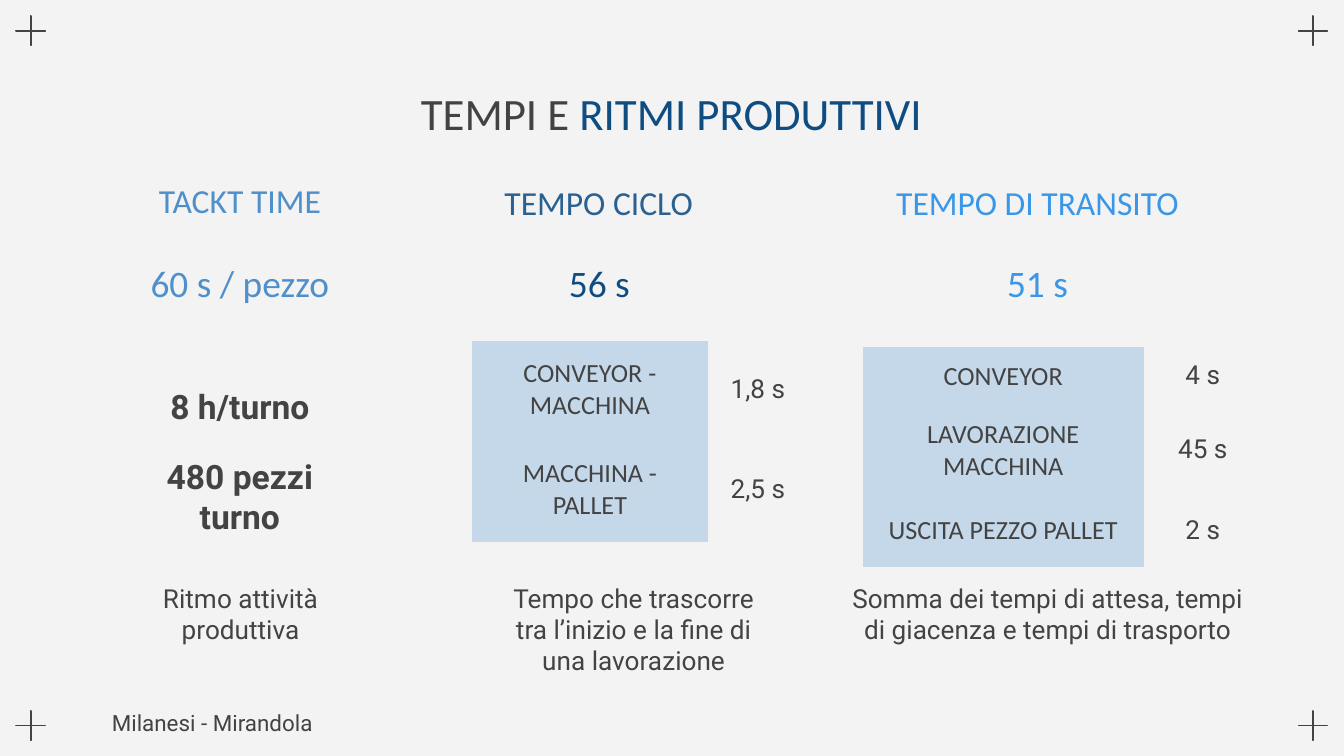
from typing import NamedTuple

from pptx import Presentation
from pptx.dml.color import RGBColor
from pptx.enum import shapes, text
from pptx.util import Inches, Pt

INK, NAVY, STEEL, SKY = "434343", "0F4C81", "5090CA", "3A97E8"
PALE, PAPER = "C5D8E9", "F3F3F3"
PLAIN = "{2D5ABB26-0587-4C30-8999-92F81FD0307C}"  # table style with no grid


class Box(NamedTuple):
    left: float
    top: float
    width: float
    height: float

    def lengths(self) -> list:
        return [Inches(n) for n in self]


class Topic(NamedTuple):
    name: str
    name_box: Box
    name_color: str
    value: str
    value_box: Box
    value_color: str
    note: str
    note_box: Box


class Steps(NamedTuple):
    box: Box
    cols: tuple
    rows: tuple
    cells: tuple


def color(code: str) -> RGBColor:
    return RGBColor.from_string(code)


def write(host, frame, *paras, size=14, font="Roboto", ink=INK, bold=False,
          after=0, middle=False) -> None:
    """Fill a frame; host, a cell or the frame itself, holds the margins.

    A paragraph is a string or a list of (text, colour).
    """
    host.vertical_anchor = (text.MSO_ANCHOR.MIDDLE if middle
                            else text.MSO_ANCHOR.TOP)
    host.margin_left = host.margin_right = Inches(0.1)
    host.margin_top = host.margin_bottom = Inches(0.1)
    for i, para in enumerate(paras):
        line = frame.add_paragraph() if i else frame.paragraphs[0]
        line.alignment = text.PP_ALIGN.CENTER
        line.space_after = Pt(after)
        for words, hue in [(para, ink)] if isinstance(para, str) else para:
            run = line.add_run()
            run.text = words
            run.font.size, run.font.name = Pt(size), font
            run.font.bold = bold
            run.font.color.rgb = color(hue)


def label(slide, box: Box, *paras, **style) -> None:
    frame = slide.shapes.add_textbox(*box.lengths()).text_frame
    frame.word_wrap = True
    write(frame, frame, *paras, **style)


def cross(slide, left: float, top: float) -> None:
    mark = slide.shapes.add_shape(shapes.MSO_SHAPE.MATH_PLUS,
                                  *Box(left, top, 0.3, 0.3).lengths())
    mark.adjustments[0] = 0.007
    mark.shadow.inherit = False
    mark.fill.background()
    mark.line.color.rgb = color(INK)
    mark.line.width = Pt(0.75)


def grid(slide, steps: Steps) -> None:
    table = slide.shapes.add_table(len(steps.rows), len(steps.cols),
                                   *steps.box.lengths()).table
    table._tbl.tblPr[0].text = PLAIN
    table.first_row = table.horz_banding = False
    for col, width in zip(table.columns, steps.cols):
        col.width = Inches(width)
    for r, (height, (step, time)) in enumerate(zip(steps.rows, steps.cells)):
        table.rows[r].height = Inches(height)
        name, value = table.cell(r, 0), table.cell(r, 1)
        name.fill.solid()
        name.fill.fore_color.rgb = color(PALE)
        value.fill.background()
        write(name, name.text_frame, step, font="Calibri", middle=True)
        write(value, value.text_frame, time, middle=True)


TOPICS = (
    Topic("TACKT TIME", Box(0.88, 1.29, 1.81, 0.39), STEEL,
          "60 s / pezzo", Box(0.88, 1.79, 1.81, 0.63), STEEL,
          "Ritmo attività produttiva", Box(0.98, 4.23, 1.62, 0.83)),
    Topic("TEMPO CICLO", Box(3.55, 1.31, 1.81, 0.39), "2B6191",
          "56 s", Box(3.65, 1.79, 1.62, 0.63), NAVY,
          "Tempo che trascorre tra l’inizio e la fine di una lavorazione",
          Box(3.65, 4.23, 2.13, 0.83)),
    Topic("TEMPO DI TRANSITO", Box(6.42, 1.31, 2.6, 0.39), SKY,
          "51 s", Box(6.91, 1.79, 1.62, 0.63), SKY,
          "Somma dei tempi di attesa, tempi di giacenza e tempi di trasporto",
          Box(6.2, 4.23, 3.19, 0.67)),
)
TABLES = (
    Steps(Box(3.51, 2.54, 2.5, 1.49), (1.76, 0.74), (0.72, 0.77),
          (("CONVEYOR - MACCHINA", "1,8 s"),
           ("MACCHINA - PALLET", "2,5 s"))),
    Steps(Box(6.42, 2.58, 2.97, 1.41), (2.09, 0.88), (0.34, 0.31, 0.54),
          (("CONVEYOR", "4 s"),
           ("LAVORAZIONE MACCHINA", "45 s"),
           ("USCITA PEZZO PALLET", "2 s"))),
)


def main() -> None:
    deck = Presentation()
    deck.slide_width = Inches(10)
    deck.slide_height = deck.slide_width * 9 // 16
    slide = deck.slides.add_slide(deck.slide_layouts[6])
    slide.background.fill.solid()
    slide.background.fill.fore_color.rgb = color(PAPER)

    for top in (0.08, 5.25):
        for left in (0.08, 9.62):
            cross(slide, left, top)

    label(slide, Box(1.54, 0.54, 6.91, 0.63),
          [("TEMPI E ", INK), ("RITMI PRODUTTIVI", NAVY)],
          size=24, font="Calibri")
    for topic in TOPICS:
        label(slide, topic.name_box, topic.name, size=18, font="Calibri",
              ink=topic.name_color, middle=True)
        label(slide, topic.value_box, topic.value, size=20, font="Calibri",
              ink=topic.value_color, middle=True)
        label(slide, topic.note_box, topic.note, after=16)
    for steps in TABLES:
        grid(slide, steps)
    label(slide, Box(0.88, 2.77, 1.81, 1.02), "8 h/turno", "480 pezzi turno",
          size=18, bold=True, after=16)
    label(slide, Box(0.25, 5.18, 2.66, 0.37), "Milanesi - Mirandola",
          size=12, after=16)
    deck.save("out.pptx")


if __name__ == "__main__":
    main()
